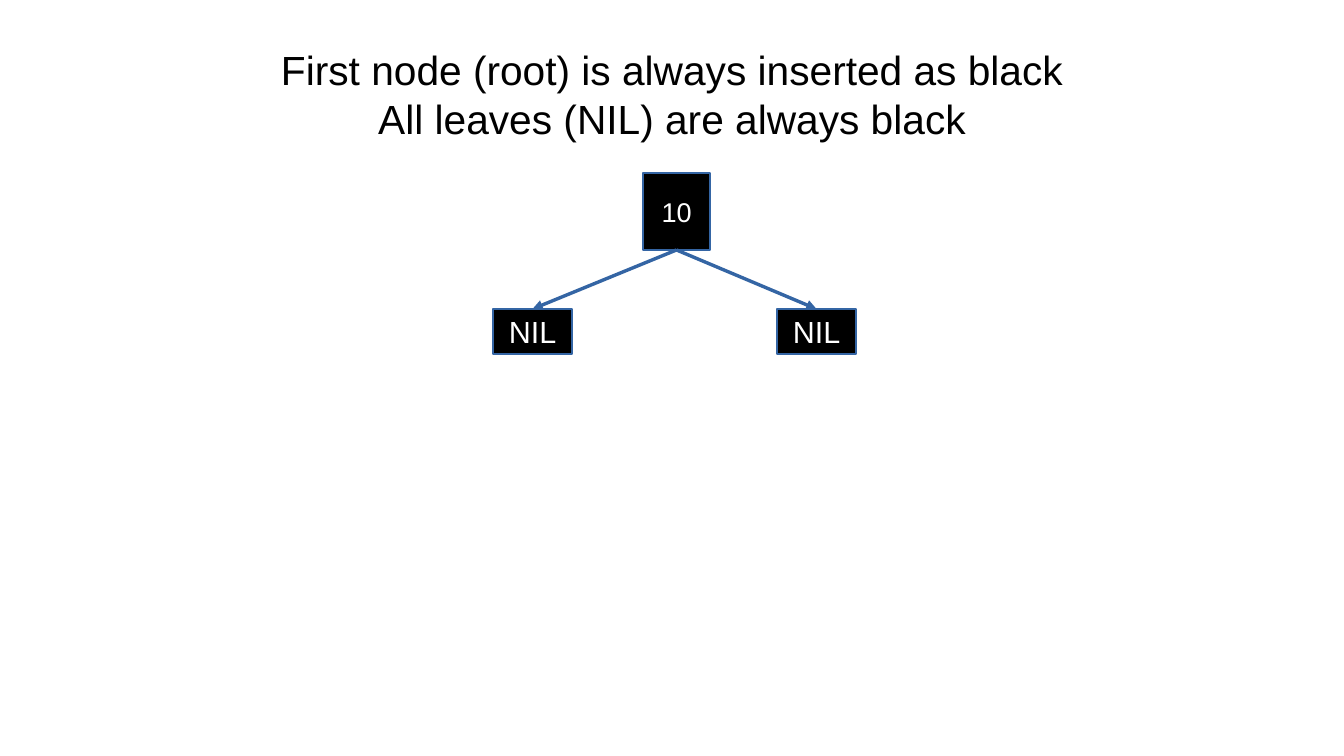
from lxml.etree import SubElement
from pptx import Presentation
from pptx.dml.color import RGBColor
from pptx.enum.shapes import MSO_CONNECTOR as Connector, MSO_SHAPE as Shape
from pptx.enum.text import MSO_ANCHOR as Anchor, PP_ALIGN as Align
from pptx.oxml.ns import qn
from pptx.util import Pt

PX = 7495  # EMU per px, at 122 px to the inch
BLACK = RGBColor(0x00, 0x00, 0x00)
WHITE = RGBColor(0xFF, 0xFF, 0xFF)
BLUE = RGBColor(0x34, 0x65, 0xA4)
BOTTOM, TOP = 2, 0

LEAF_TOP, LEAF_WIDTH, LEAF_HEIGHT = 309, 79, 45
LEAF_LEFTS = (493, 777)


def emu(*lengths):
    return [length * PX for length in lengths]


def write(box, text, size, color):
    """Put centred text in a box; a vertical tab in it breaks the line."""
    frame = box.text_frame
    frame.word_wrap = True
    frame.vertical_anchor = Anchor.MIDDLE
    para = frame.paragraphs[0]
    para.text = text
    para.alignment = Align.CENTER
    for span in para.runs:
        for name, value in {"name": "Arial", "size": Pt(size)}.items():
            setattr(span.font, name, value)
        span.font.color.rgb = color


def add_title(page, text):
    box = page.shapes.add_textbox(*emu(67, 31, 1210, 126))
    for side in ("left", "top", "right", "bottom"):
        setattr(box.text_frame, f"margin_{side}", 0)
    write(box, text, 24, BLACK)


def style_line(line):
    line.color.rgb = BLUE
    line.width = 0


def add_node(page, label, bounds, size):
    node = page.shapes.add_shape(Shape.RECTANGLE, *emu(*bounds))
    node.shadow.inherit = False
    node.fill.solid()
    node.fill.fore_color.rgb = BLACK
    style_line(node.line)
    write(node, label, size, WHITE)
    return node


def add_branch(page, parent, child):
    """Draw an arrow from the foot of the parent to the top of the child."""
    branch = page.shapes.add_connector(Connector.STRAIGHT, 0, 0, 0, 0)
    branch.begin_connect(parent, BOTTOM)
    branch.end_connect(child, TOP)
    style_line(branch.line)
    SubElement(branch.line._get_or_add_ln(), qn("a:tailEnd"), type="triangle")
    SubElement(branch._element.spPr, qn("a:effectLst"))


def main():
    deck = Presentation()
    deck.slide_width, deck.slide_height = emu(1344, 756)
    page = deck.slides.add_slide(deck.slide_layouts[6])
    add_title(page, "First node (root) is always inserted as black\v"
                    "All leaves (NIL) are always black")
    root = add_node(page, "10", (643, 173, 67, 77), 16)
    leaves = [add_node(page, "NIL", (left, LEAF_TOP, LEAF_WIDTH, LEAF_HEIGHT), 18)
              for left in LEAF_LEFTS]
    for leaf in leaves:
        add_branch(page, root, leaf)
    deck.save("out.pptx")


if __name__ == "__main__":
    main()
